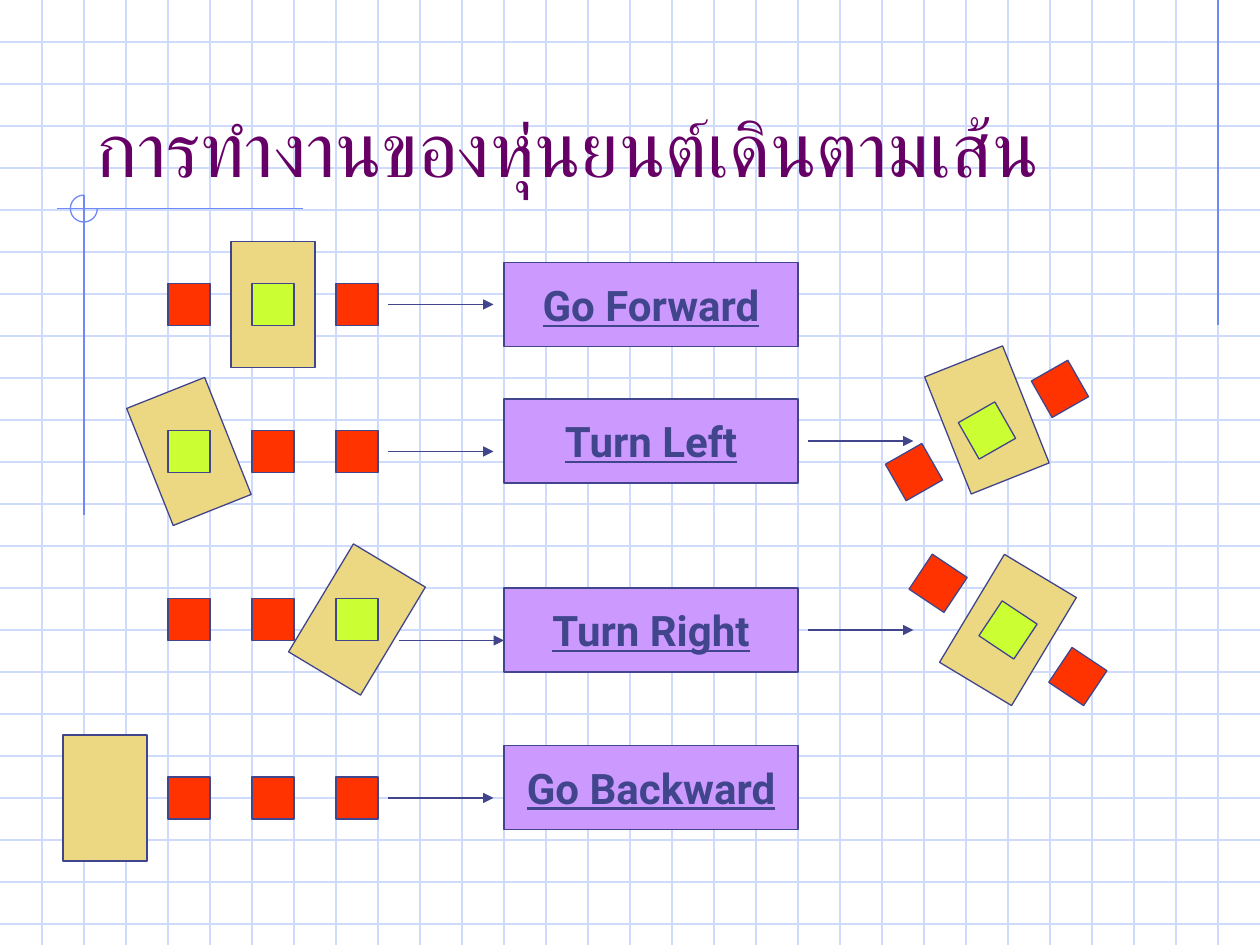
import math

import pptx
import pptx.dml.color
import pptx.enum.shapes
import pptx.enum.text
import pptx.oxml
import pptx.oxml.ns
import pptx.util

Pt = pptx.util.Pt
SHAPES = pptx.enum.shapes.MSO_SHAPE
ANCHOR = pptx.enum.text.MSO_ANCHOR
ALIGN = pptx.enum.text.PP_ALIGN
WIDTH, HEIGHT = 720, 540
UNIT = 24
INK, GRID, ACCENT = "40458C", "CFDBFD", "6F89F7"
ROBOT, SENSOR, ACTIVE, LABEL = "ECD882", "FF3300", "CCFF33", "CC99FF"


def color(value):
    return pptx.dml.color.RGBColor.from_string(value)


def add_line(slide, start, end, stroke, arrow=False):
    line = slide.shapes.add_connector(
        pptx.enum.shapes.MSO_CONNECTOR.STRAIGHT, *map(Pt, start + end))
    line.line.color.rgb = color(stroke)
    line.line.width = Pt(0.75)
    properties = line._element.spPr
    if arrow:
        tail = pptx.oxml.parse_xml(
            '<a:tailEnd %s type="triangle"/>' % pptx.oxml.ns.nsdecls("a"))
        line.line._get_or_add_ln().append(tail)
    properties.append(pptx.oxml.parse_xml(
        "<a:effectLst %s/>" % pptx.oxml.ns.nsdecls("a")))
    return line


def add_block(slide, left, top, width, height, fill=None, stroke=INK,
              kind=SHAPES.RECTANGLE, rotation=0):
    shape = slide.shapes.add_shape(kind, *map(Pt, (left, top, width, height)))
    shape.shadow.inherit = False
    shape.rotation = rotation
    if fill:
        shape.fill.solid()
        shape.fill.fore_color.rgb = color(fill)
    else:
        shape.fill.background()
    shape.line.color.rgb = color(stroke)
    shape.line.width = Pt(0.75)
    return shape


def add_text(shape, text, size, ink, anchor, align, wrap=False, bold=False,
             underline=False):
    frame = shape.text_frame
    frame.word_wrap = wrap
    frame.vertical_anchor = anchor
    paragraph = frame.paragraphs[0]
    paragraph.alignment = align
    run = paragraph.add_run()
    run.text = text
    font = run.font
    font.name, font.size, font.bold = "Roboto", Pt(size), bold
    font.underline = underline
    font.color.rgb = color(ink)


def add_background(slide, width, height):
    for y in range(UNIT, height, UNIT):
        add_line(slide, (0, y), (width, y), GRID)
    for x in range(UNIT, width, UNIT):
        add_line(slide, (x, 0), (x, height), GRID)
    add_line(slide, (width - UNIT, 0), (width - UNIT, 186), ACCENT)
    add_line(slide, (173, 119.2), (32.5, 119.2), ACCENT)
    add_line(slide, (48, 111.5), (48, 294.5), ACCENT)
    arc = add_block(slide, 40.2, 111.5, 15.4, 15.4, stroke=ACCENT, kind=SHAPES.ARC)
    arc.adjustments[0] = 0
    arc.adjustments[1] = 162


def add_title(slide, left, top, width, height, text):
    box = slide.shapes.add_textbox(*map(Pt, (left, top, width, height)))
    add_text(box, text, 44, "660066", ANCHOR.BOTTOM, ALIGN.LEFT, wrap=True)


def add_sensors(slide, center_x, center_y, robot_cell, robot_angle=0, angle=0,
                robot_shift=0):
    step_x = 2 * UNIT * math.cos(math.radians(angle))
    step_y = 2 * UNIT * math.sin(math.radians(angle))
    robot_x = center_x + robot_cell * step_x
    robot_y = center_y + robot_cell * step_y + robot_shift
    add_block(slide, robot_x - UNIT, robot_y - 1.5 * UNIT, 2 * UNIT, 3 * UNIT,
              ROBOT, rotation=robot_angle)
    for cell in (-1, 0, 1):
        add_block(slide, center_x + cell * step_x - UNIT / 2,
                  center_y + cell * step_y - UNIT / 2, UNIT, UNIT,
                  ACTIVE if cell == robot_cell else SENSOR, rotation=angle)


def add_label(slide, left, top, width, height, text):
    box = add_block(slide, left, top, width, height, LABEL)
    add_text(box, text, 24, INK, ANCHOR.MIDDLE, ALIGN.CENTER,
             bold=True, underline=True)


def add_arrow(slide, left, y, length=60):
    add_line(slide, (left, y), (left + length, y), INK, arrow=True)


def main():
    presentation = pptx.Presentation()
    presentation.slide_width, presentation.slide_height = Pt(WIDTH), Pt(HEIGHT)
    slide = presentation.slides.add_slide(presentation.slide_layouts[6])
    add_background(slide, WIDTH, HEIGHT)
    add_title(slide, 48, 24, 612, 90, "การทำงานของหุ่นยนต์เดินตามเส้น")

    commands = [
        ("Go Forward", 174, 0, 0, 150, 222, 174),
        ("Turn Left", 258, -1, -21.7, 228, 222, 258),
        ("Turn Right", 354, 1, 31, 336, 228, 366),
        ("Go Backward", 456, -2, 0, 426, 222, 456),
    ]
    for text, center_y, cell, angle, label_top, arrow_left, arrow_y in commands:
        add_sensors(slide, 156, center_y, cell, angle)
        add_label(slide, 288, label_top, 168, 48, text)
        add_arrow(slide, arrow_left, arrow_y)

    add_sensors(slide, 576, 360, 0, 31, 33.7)
    add_sensors(slide, 564, 246, 0, -21.7, -29.7, robot_shift=-6)
    for y in (252, 360):
        add_arrow(slide, 462, y)
    presentation.save("out.pptx")


if __name__ == "__main__":
    main()
